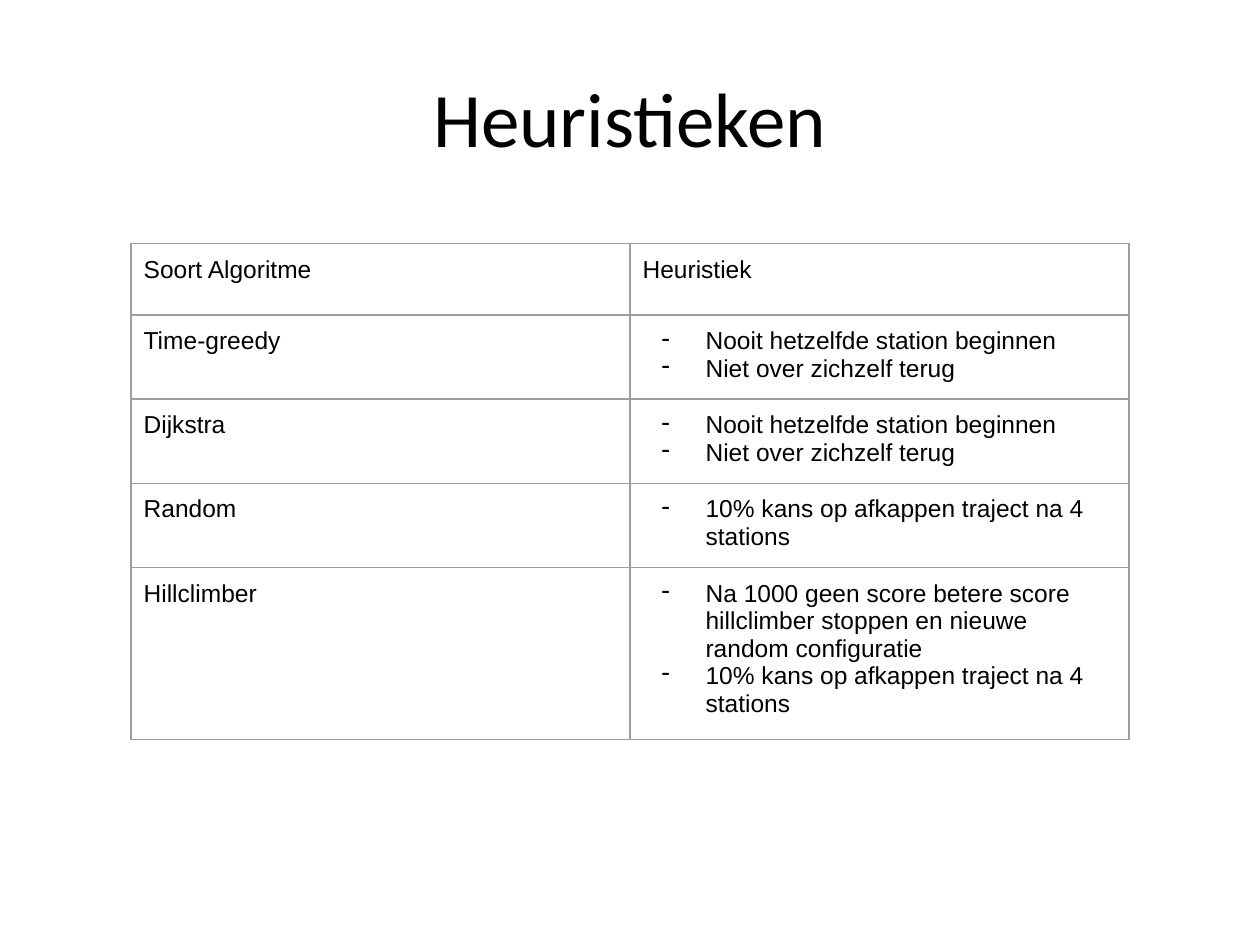
from pptx import Presentation
from pptx import util as u
from pptx.dml.color import RGBColor
from pptx.enum import text
from pptx.oxml import parse_xml
from pptx.oxml.ns import nsdecls

BLACK = "000000"
GREY = "9E9E9E"
START_RULES = ["Nooit hetzelfde station beginnen", "Niet over zichzelf terug"]
CUT_RULE = "10% kans op afkappen traject na 4 stations"
RESTART_RULE = ("Na 1000 geen score betere score hillclimber stoppen "
                "en nieuwe random configuratie")
HEADERS = ["Soort Algoritme", "Heuristiek"]
HEURISTICS = [
    ("Time-greedy", START_RULES),
    ("Dijkstra", START_RULES),
    ("Random", [CUT_RULE]),
    ("Hillclimber", [RESTART_RULE, CUT_RULE]),
]


def color(value):
    return RGBColor.from_string(value)


def style_font(p, name, size):
    p.font.name = name
    p.font.size = u.Pt(size)
    p.font.color.rgb = color(BLACK)


def add_dash(p):
    pPr = p._p.get_or_add_pPr()
    pPr.set("marL", str(u.Inches(0.5)))
    pPr.set("indent", str(u.Inches(-0.35)))
    bullet_color = (f'<a:buClr {nsdecls("a")}><a:srgbClr val="{BLACK}"/></a:buClr>')
    bullet = f'<a:buChar {nsdecls("a")} char="-"/>'
    for position, xml in enumerate((bullet_color, bullet)):
        pPr.insert(position, parse_xml(xml))


def add_borders(cell):
    tcPr = cell._tc.get_or_add_tcPr()
    for side in "LRTB":
        tcPr.append(parse_xml(
            f'<a:ln{side} {nsdecls("a")} w="{u.Pt(0.75)}"><a:solidFill>'
            f'<a:srgbClr val="{GREY}"/></a:solidFill></a:ln{side}>'))


def fill_cell(cell, lines, dashed=False):
    cell.margin_left = cell.margin_right = u.Inches(0.1)
    cell.margin_top = cell.margin_bottom = u.Inches(0.1)
    add_borders(cell)
    cell.fill.background()
    tf = cell.text_frame
    tf.text = "\n".join(lines)
    for p in tf.paragraphs:
        style_font(p, "Arial", 14)
        if dashed:
            add_dash(p)


def add_title(slide, left, top, width, height):
    sp = slide.shapes.add_textbox(left, top, width, height)
    tf = sp.text_frame
    tf.word_wrap = True
    tf.vertical_anchor = text.MSO_ANCHOR.MIDDLE
    tf.text = "Heuristieken"
    p = tf.paragraphs[0]
    p.alignment = text.PP_ALIGN.CENTER
    style_font(p, "Calibri", 44)


def add_heuristics_table(slide, left, top, width, height):
    table = slide.shapes.add_table(
        len(HEURISTICS) + 1, len(HEADERS), left, top, width, height).table
    table.first_row = table.horz_banding = False
    for row in table.rows:
        row.height = u.Inches(0.42)
    table.rows[0].height = u.Inches(0.57)
    for column, header in enumerate(HEADERS):
        fill_cell(table.cell(0, column), [header])
    for row, (algorithm, rules) in enumerate(HEURISTICS, start=1):
        fill_cell(table.cell(row, 0), [algorithm])
        fill_cell(table.cell(row, 1), rules, dashed=True)


def main():
    prs = Presentation()
    prs.slide_width = u.Inches(10)
    prs.slide_height = u.Inches(7.5)
    slide = prs.slides.add_slide(prs.slide_layouts[6])
    add_title(slide, u.Inches(0.5), u.Inches(0.3), u.Inches(9), u.Inches(1.25))
    add_heuristics_table(
        slide, u.Inches(1.04), u.Inches(1.93), u.Inches(7.92), u.Inches(2.25))
    prs.save("out.pptx")


if __name__ == "__main__":
    main()
